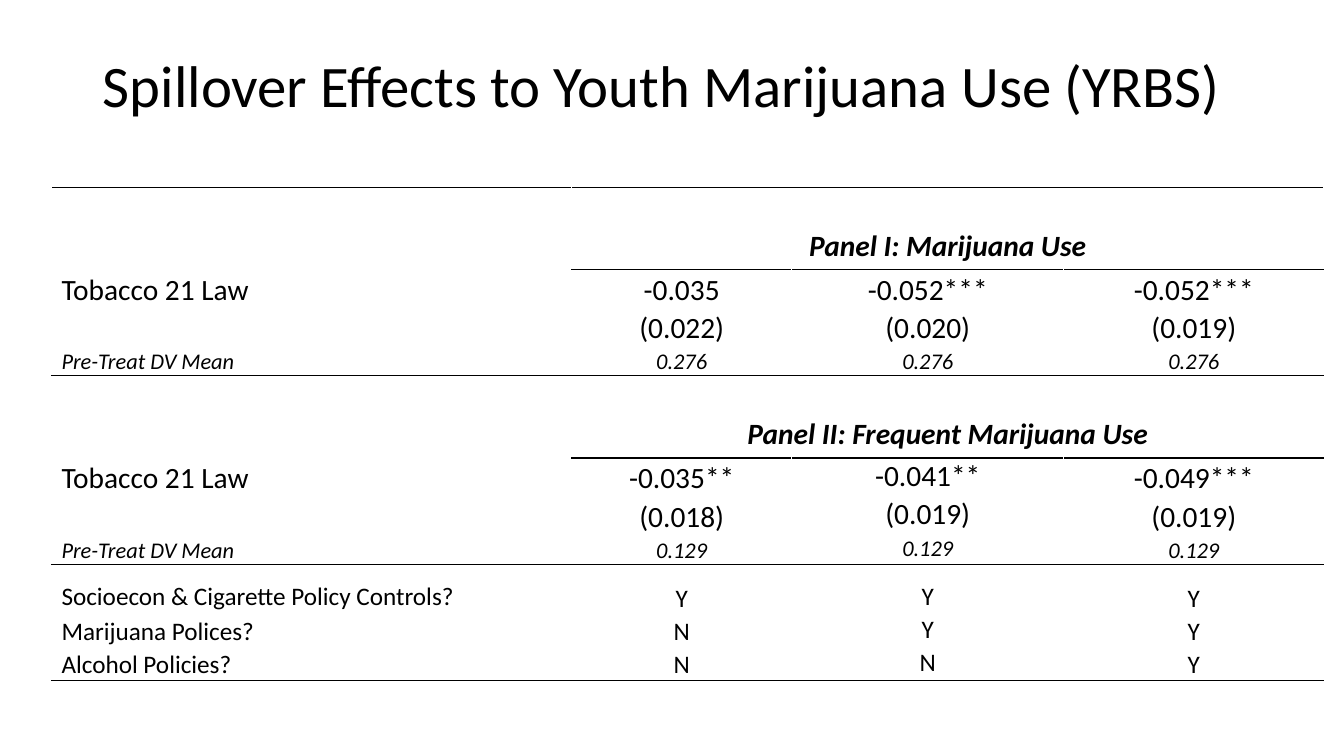
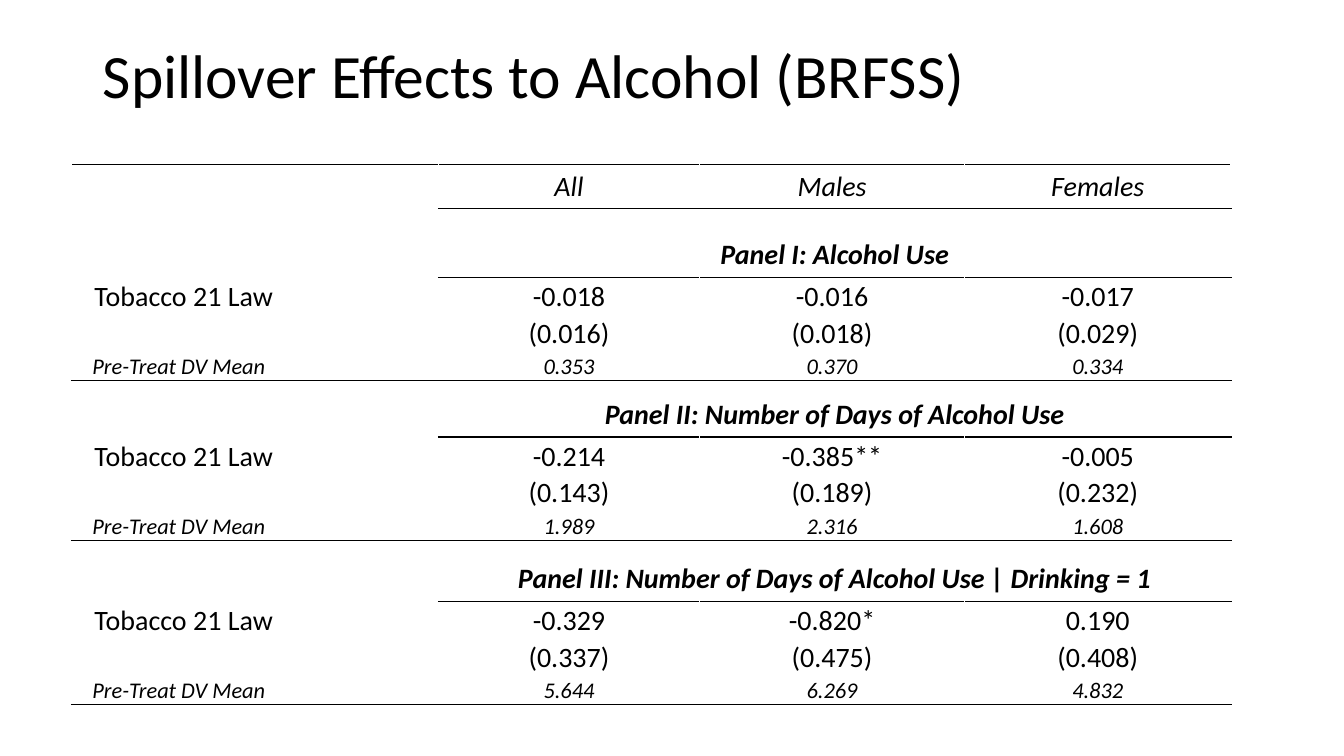
from lxml.etree import SubElement
from pptx import Presentation
from pptx.dml.color import RGBColor
from pptx.enum.text import MSO_ANCHOR, PP_ALIGN
from pptx.oxml.ns import qn
from pptx.util import Cm, Pt

BLACK = RGBColor(0x00, 0x00, 0x00)
WHITE = RGBColor(0xFF, 0xFF, 0xFF)
FONT = "Calibri"
LABEL = "Tobacco 21 Law"
MEAN_LABEL = "Pre-Treat DV Mean"

# Row kinds: bold, italic, columns with a black rule below
ROW_KINDS = {
    "groups": (False, True, (1, 2, 3)),
    "heading": (True, True, (1, 2, 3)),
    "estimate": (False, False, ()),
    "mean": (False, True, (0, 1, 2, 3)),
    "spacer": (False, False, ()),
    "policy": (False, False, ()),
    "last policy": (False, False, (0, 1, 2, 3)),
}


def panel(title, effects, errors, means):
    """Rows of one regression panel."""
    return [
        ("heading", ["", title, "", ""]),
        ("estimate", [LABEL, *effects]),
        ("estimate", ["", *errors]),
        ("mean", [MEAN_LABEL, *means]),
    ]


def set_borders(cell, top, bottom):
    """Draw white side borders and the given top and bottom colours."""
    properties = cell._tc.get_or_add_tcPr()
    for side, color in (("lnL", WHITE), ("lnR", WHITE), ("lnT", top), ("lnB", bottom)):
        line = SubElement(properties, qn(f"a:{side}"), w=str(Pt(1)))
        fill = SubElement(line, qn("a:solidFill"))
        SubElement(fill, qn("a:srgbClr"), val=str(color))


# Slide contents
slides = [
    {
        "title": "Spillover Effects to Youth Marijuana Use (YRBS)",
        "title_size": 42,
        "title_top": 0.38,
        "left": 1.3,
        "top": 4.72,
        "widths": [13.11, 5.54, 6.86, 6.55],
        "body_size": 21,
        "heights": {"estimate": 0.97, "mean": 0.74, "spacer": 0.43,
                    "policy": 0.83, "last policy": 0.83},
        "heading_heights": [2.07, 2.07],
        "label_indents": {},
        "single_spaced": {(9, 0)} | {(row, 2) for row in range(5, 12)},
        "rows": [
            *panel("Panel I: Marijuana Use",
                   ["-0.035", "-0.052***", "-0.052***"],
                   ["(0.022)", "(0.020)", "(0.019)"],
                   ["0.276", "0.276", "0.276"]),
            *panel("Panel II: Frequent Marijuana Use",
                   ["-0.035**", "-0.041**", "-0.049***"],
                   ["(0.018)", "(0.019)", "(0.019)"],
                   ["0.129", "0.129", "0.129"]),
            ("spacer", ["", "", "", ""]),
            ("policy", ["Socioecon & Cigarette Policy Controls?", "Y", "Y", "Y"]),
            ("policy", ["Marijuana Polices?", "N", "Y", "Y"]),
            ("last policy", ["Alcohol Policies?", "N", "N", "Y"]),
        ],
    },
    {
        "title": "Spillover Effects to Alcohol (BRFSS)",
        "title_size": 44,
        "title_top": 0.15,
        "left": 1.8,
        "top": 4.14,
        "widths": [9.25, 6.58, 6.68, 6.71],
        "body_size": 20,
        "heights": {"groups": 1.12, "estimate": 0.93, "mean": 0.74},
        "heading_heights": [1.73, 1.42, 1.55],
        "label_indents": {"estimate": 0.58, "mean": 0.53},
        "single_spaced": set(),
        "rows": [
            ("groups", ["", "All", "Males", "Females"]),
            *panel("Panel I: Alcohol Use",
                   ["-0.018", "-0.016", "-0.017"],
                   ["(0.016)", "(0.018)", "(0.029)"],
                   ["0.353", "0.370", "0.334"]),
            *panel("Panel II: Number of Days of Alcohol Use",
                   ["-0.214", "-0.385**", "-0.005"],
                   ["(0.143)", "(0.189)", "(0.232)"],
                   ["1.989", "2.316", "1.608"]),
            *panel("Panel III: Number of Days of Alcohol Use | Drinking = 1",
                   ["-0.329", "-0.820*", "0.190"],
                   ["(0.337)", "(0.475)", "(0.408)"],
                   ["5.644", "6.269", "4.832"]),
        ],
    },
]

presentation = Presentation()
presentation.slide_width = Cm(33.87)
presentation.slide_height = Cm(19.05)

for content in slides:
    slide = presentation.slides.add_slide(presentation.slide_layouts[6])

    # Title
    title = slide.shapes.add_textbox(Cm(2.34), Cm(content["title_top"]), Cm(29.21), Cm(3.68))
    title.text_frame.word_wrap = True
    title.text_frame.vertical_anchor = MSO_ANCHOR.MIDDLE
    paragraph = title.text_frame.paragraphs[0]
    paragraph.text = content["title"]
    paragraph.line_spacing = 0.9
    paragraph.font.name = FONT
    paragraph.font.size = Pt(content["title_size"])
    paragraph.font.color.rgb = BLACK

    # Table grid
    rows, widths = content["rows"], content["widths"]
    heading_heights = iter(content["heading_heights"])
    heights = [next(heading_heights) if kind == "heading" else content["heights"][kind]
               for kind, _ in rows]
    table = slide.shapes.add_table(
        len(rows), len(widths), Cm(content["left"]), Cm(content["top"]),
        Cm(sum(widths)), Cm(sum(heights))).table
    table.first_row = table.horz_banding = False
    for column, width in zip(table.columns, widths):
        column.width = Cm(width)
    sizes = {"mean": 16, "policy": 18, "last policy": 18}

    # Table cells
    ruled_above = (0, 1, 2, 3)
    for row_index, (kind, texts) in enumerate(rows):
        table.rows[row_index].height = Cm(heights[row_index])
        bold, italic, ruled_below = ROW_KINDS[kind]
        padded = kind in ("groups", "heading")
        for column_index, text in enumerate(texts):
            cell = table.cell(row_index, column_index)
            set_borders(cell,
                        BLACK if column_index in ruled_above else WHITE,
                        BLACK if column_index in ruled_below else WHITE)
            cell.fill.background()
            cell.margin_top = cell.margin_bottom = Cm(0.13 if padded and text else 0)
            cell.margin_left = cell.margin_right = Cm(0.25)
            paragraph = cell.text_frame.paragraphs[0]
            if not text:
                # Keep empty cells from stretching their row
                SubElement(paragraph._p, qn("a:endParaRPr"), sz="800")
                continue
            paragraph.text = text
            if column_index == 0:
                cell.margin_left = Cm(content["label_indents"].get(kind, 0.25))
            else:
                paragraph.alignment = PP_ALIGN.CENTER
            if not padded and (row_index, column_index) not in content["single_spaced"]:
                paragraph.line_spacing = 1.07
            paragraph.font.name = FONT
            paragraph.font.size = Pt(sizes.get(kind, content["body_size"]))
            paragraph.font.bold = bold
            paragraph.font.italic = italic
            paragraph.font.color.rgb = BLACK
        if kind == "heading":
            heading = table.cell(row_index, 1)
            heading.merge(table.cell(row_index, 3))
            heading.vertical_anchor = MSO_ANCHOR.BOTTOM
        ruled_above = ruled_below

presentation.save("out.pptx")
